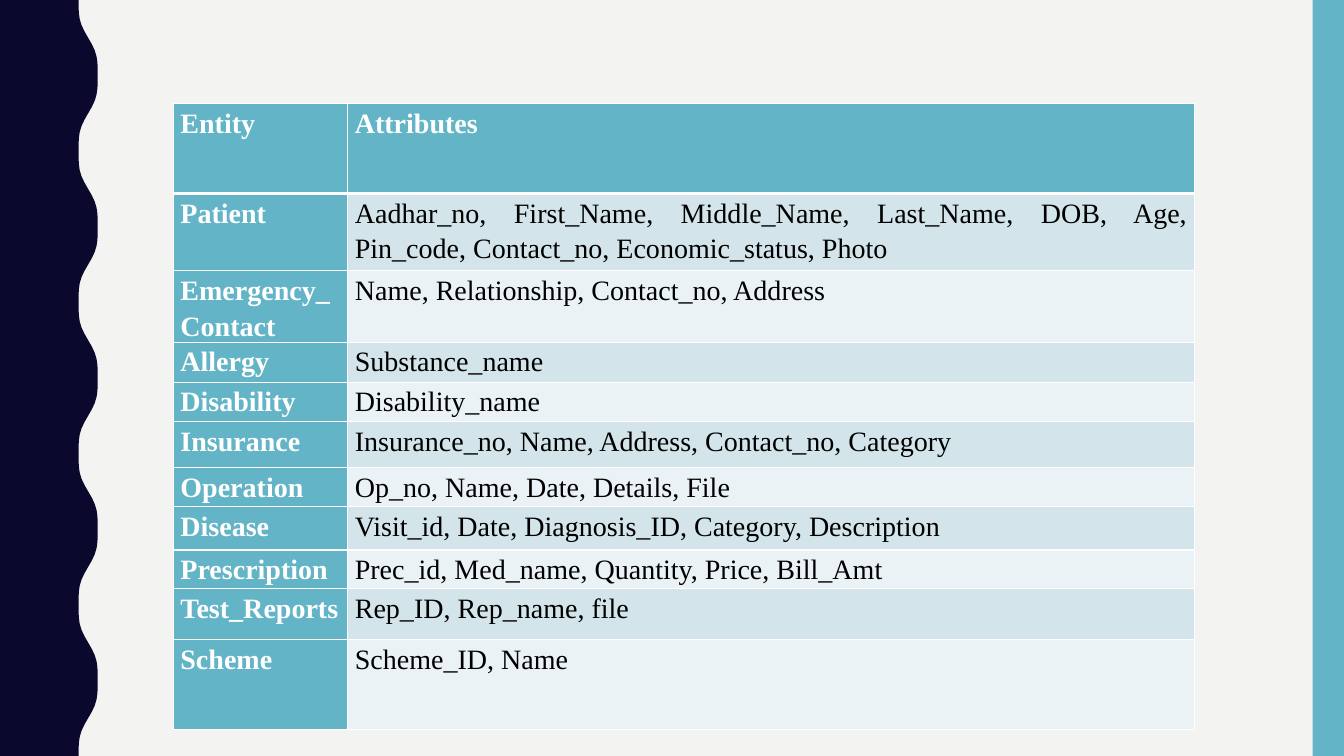
from math import cos, pi

from lxml.etree import SubElement
from pptx import Presentation
from pptx.dml.color import RGBColor as Color
from pptx.enum.shapes import MSO_SHAPE as Kind
from pptx.enum.text import PP_ALIGN as Align
from pptx.oxml.ns import qn
from pptx.util import Inches, Pt

PAPER = Color(0xF3, 0xF3, 0xF2)
NAVY = Color(0x0B, 0x08, 0x2E)
TEAL = Color(0x62, 0xB4, 0xC6)
BANDS = Color(0xEA, 0xF2, 0xF5), Color(0xD3, 0xE5, 0xEA)
WHITE = Color(0xFF, 0xFF, 0xFF)
BLACK = Color(0, 0, 0)

# Entity, attributes, row height in percent of the slide
ROWS = [
    ("Entity", "Attributes", 11.87),
    ("Patient", "Aadhar_no, First_Name, Middle_Name, Last_Name, DOB, Age, "
     "Pin_code, Contact_no, Economic_status, Photo", 10.2),
    ("Emergency_Contact", "Name, Relationship, Contact_no, Address", 8.7),
    ("Allergy", "Substance_name", 5.3),
    ("Disability", "Disability_name", 5.2),
    ("Insurance", "Insurance_no, Name, Address, Contact_no, Category", 6.1),
    ("Operation", "Op_no, Name, Date, Details, File", 5.2),
    ("Disease", "Visit_id, Date, Diagnosis_ID, Category, Description", 5.7),
    ("Prescription", "Prec_id, Med_name, Quantity, Price, Bill_Amt", 5.1),
    ("Test_Reports", "Rep_ID, Rep_name, file", 6.8),
    ("Scheme", "Scheme_ID, Name", 11.87),
]


class Page:
    """Style and current slide; lengths are percents of the slide's size."""

    font, size = "Times New Roman", Pt(20)

    def __init__(self, deck):
        """Add a blank slide with the paper colour."""
        self.wide, self.high = deck.slide_width, deck.slide_height
        self.slide = deck.slides.add_slide(deck.slide_layouts[6])
        self.shapes = self.slide.shapes
        back = self.slide.background.fill
        back.solid()
        back.fore_color.rgb = PAPER

    def across(self, part):
        """Turn a percent of the width into a length."""
        return round(self.wide * part / 100)

    def down(self, part):
        """Turn a percent of the height into a length."""
        return round(self.high * part / 100)

    def paint(self, shape, color):
        """Fill a shape flat, with no line or shadow."""
        shape.shadow.inherit = False
        shape.fill.solid()
        shape.fill.fore_color.rgb = color
        shape.line.fill.background()

    def bar(self, left, width, color):
        """Draw a bar over the full height."""
        shape = self.shapes.add_shape(
            Kind.RECTANGLE, self.across(left), 0, self.across(width), self.high)
        self.paint(shape, color)

    def wave(self, mid, swing, bend, count, color):
        """Draw a left band whose edge makes count waves."""
        steps = count * 24
        edge = []
        for step in range(steps + 1):
            turn = 2 * pi * count * step / steps
            side = mid - swing * cos(turn) + bend * cos(3 * turn)
            edge.append((self.across(side), self.down(100 * step / steps)))
        pen = self.shapes.build_freeform(0, 0)
        pen.add_line_segments(edge + [(0, self.high)], close=True)
        self.paint(pen.convert_to_shape(), color)

    def rule(self, cell, sides):
        """Give a cell white borders from side names and point widths."""
        props = cell._tc.get_or_add_tcPr()
        for spot, (side, width) in enumerate(sides.items()):
            line = SubElement(props, qn("a:ln" + side), w=str(Pt(width)))
            fill = SubElement(line, qn("a:solidFill"))
            SubElement(fill, qn("a:srgbClr"), val=str(WHITE))
            props.insert(spot, line)

    def cell(self, cell, text, fill, ink, bold):
        """Write and style one table cell."""
        cell.fill.solid()
        cell.fill.fore_color.rgb = fill
        cell.margin_left = cell.margin_right = Inches(0.07)
        cell.margin_top = cell.margin_bottom = 0
        cell.text_frame.text = text
        para = cell.text_frame.paragraphs[0]
        para.alignment = Align.JUSTIFY
        para.line_spacing, para.space_after = 1.15, Pt(10)
        font = para.runs[0].font
        font.name, font.size, font.bold = self.font, self.size, bold
        font.color.rgb = ink

    def table(self, left, top, widths, rows):
        """Draw a table with a header row, a header column and bands."""
        tall = sum(row[-1] for row in rows)
        grid = self.shapes.add_table(
            len(rows), len(widths), self.across(left), self.down(top),
            self.across(sum(widths)), self.down(tall)).table
        for col, width in zip(grid.columns, widths):
            col.width = self.across(width)
        for r, (*texts, height) in enumerate(rows):
            grid.rows[r].height = self.down(height)
            sides = {"L": 1, "R": 1, "T": 3 if r == 1 else 1,
                     "B": 3 if r == 0 else 1}
            for c, text in enumerate(texts):
                head = r == 0 or c == 0
                cell = grid.cell(r, c)
                self.cell(cell, text, TEAL if head else BANDS[r % 2],
                          WHITE if head else BLACK, head)
                self.rule(cell, sides)


def main():
    """Build the slide and save it."""
    deck = Presentation()
    deck.slide_width, deck.slide_height = Inches(13.33), Inches(7.5)
    page = Page(deck)
    page.wave(6.56, 0.8, 0.09, 5, NAVY)
    page.bar(97.67, 2.33, TEAL)
    page.table(12.9, 13.73, (12.98, 63), ROWS)
    deck.save("out.pptx")


main()
